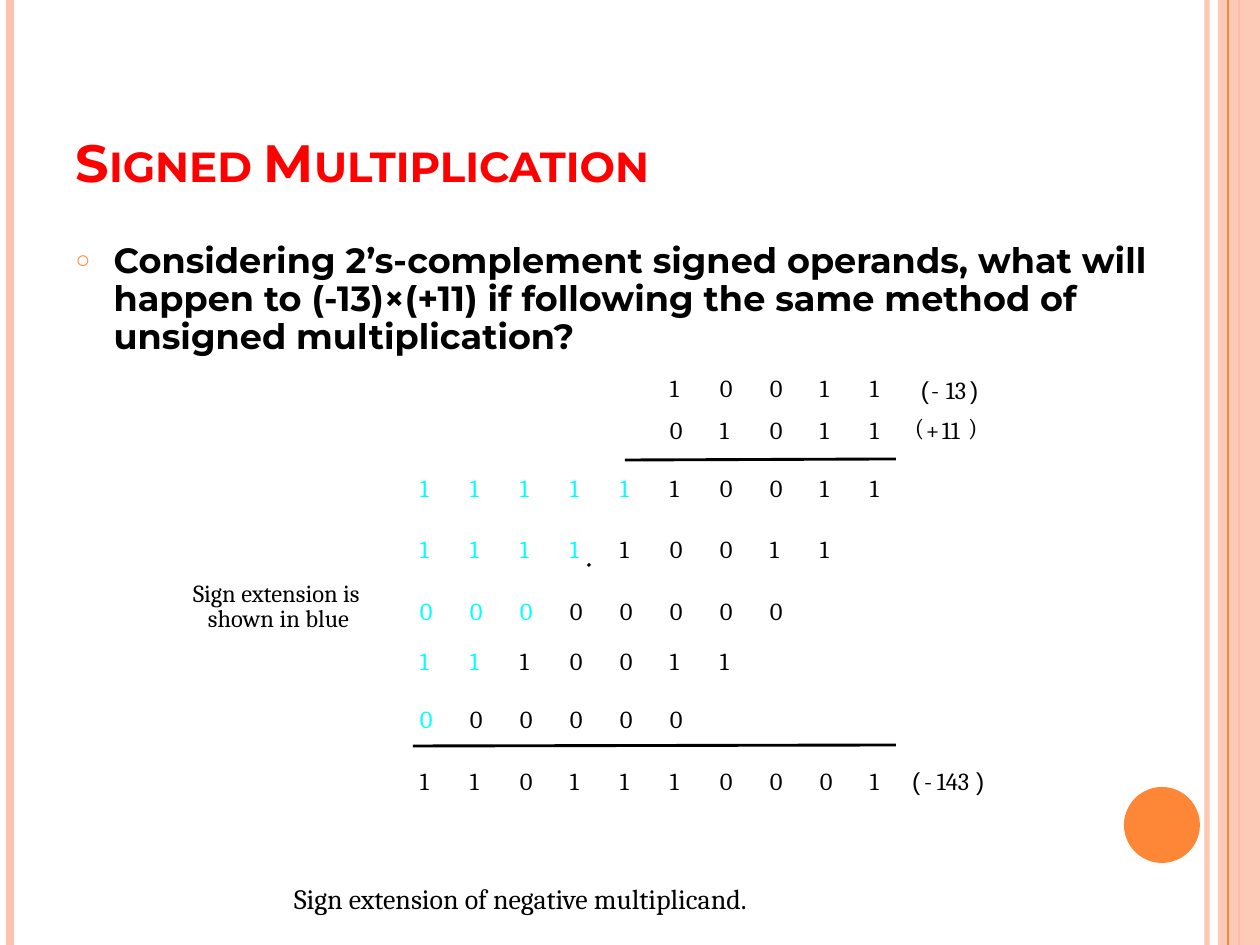
from lxml.etree import SubElement
from pptx import Presentation
from pptx.dml.color import RGBColor
from pptx.enum.shapes import MSO_CONNECTOR, MSO_SHAPE
from pptx.enum.text import MSO_ANCHOR, MSO_AUTO_SIZE, PP_ALIGN
from pptx.oxml.ns import qn
from pptx.util import Emu, Inches, Pt

COLORS = {"black": "000000", "red": "FF0000", "cyan": "00FFFF",
          "orange": "FE8637", "peach": "FEC3AE"}
PX_PER_INCH = 126
LINE_HEIGHT = 29


def px(value):
    return Emu(round(value * Inches(1) / PX_PER_INCH))


def rgb(name):
    return RGBColor.from_string(COLORS[name])


class SlideBuilder:
    heading_font = "Montserrat"
    text_font = "Cambria"
    bracket_font = "Arial"

    def __init__(self, slide):
        self.slide = slide

    def add_run(self, paragraph, text, size, font, color, bold=False):
        run = paragraph.add_run()
        run.text = text
        run.font.size = Pt(size)
        run.font.name = font
        run.font.bold = bold
        run.font.color.rgb = rgb(color)
        return run

    def set_alpha(self, element, percent):
        for color in element.iter(qn("a:srgbClr")):
            SubElement(color, qn("a:alpha"), val=str(percent * 1000))

    def line(self, x1, y1, x2, y2, color, width, alpha=100):
        connector = self.slide.shapes.add_connector(
            MSO_CONNECTOR.STRAIGHT, px(x1), px(y1), px(x2), px(y2))
        connector.line.color.rgb = rgb(color)
        connector.line.width = Pt(width)
        properties = connector._element.spPr
        SubElement(properties, qn("a:effectLst"))
        if alpha < 100:
            self.set_alpha(properties, alpha)

    def shape(self, preset, left, top, width, height, color, alpha=100):
        shape = self.slide.shapes.add_shape(
            preset, px(left), px(top), px(width), px(height))
        shape.shadow.inherit = False
        shape.fill.solid()
        shape.fill.fore_color.rgb = rgb(color)
        shape.line.fill.background()
        if alpha < 100:
            self.set_alpha(shape._element.spPr, alpha)

    def place(self, holder, left, top, width, height, anchor):
        holder.left, holder.top = px(left), px(top)
        holder.width, holder.height = px(width), px(height)
        holder.text_frame.vertical_anchor = anchor
        holder.text_frame.auto_size = MSO_AUTO_SIZE.NONE
        paragraph = holder.text_frame.paragraphs[0]
        paragraph.alignment = PP_ALIGN.LEFT
        paragraph.space_before = Pt(0)
        return paragraph

    def title(self, text, *box):
        paragraph = self.place(self.slide.shapes.title, *box, MSO_ANCHOR.BOTTOM)
        run = self.add_run(paragraph, text, 30, self.heading_font, "red", True)
        run.font._element.set("cap", "small")

    def question(self, text, *box):
        paragraph = self.place(self.slide.placeholders[1], *box, MSO_ANCHOR.TOP)
        paragraph.line_spacing = 0.9
        properties = paragraph._p.get_or_add_pPr()
        properties.set("marL", str(px(38)))
        properties.set("indent", str(px(-38)))
        bullet_color = SubElement(properties, qn("a:buClr"))
        SubElement(bullet_color, qn("a:srgbClr"), val=COLORS["orange"])
        SubElement(properties, qn("a:buSzPct"), val="70000")
        SubElement(properties, qn("a:buChar"), char="○")
        self.add_run(paragraph, text, 20, self.heading_font, "black", True)

    def label(self, text, left, top, width, size=14, font=text_font, color="black"):
        box = self.slide.shapes.add_textbox(
            px(left), px(top), px(width), px(LINE_HEIGHT * size / 14))
        frame = box.text_frame
        frame.margin_left = frame.margin_right = 0
        frame.margin_top = frame.margin_bottom = 0
        frame.word_wrap = False
        frame.auto_size = MSO_AUTO_SIZE.SHAPE_TO_FIT_TEXT
        self.add_run(frame.paragraphs[0], text, size, font, color)

    def binary_row(self, bits, first_column, top, sign_bits):
        for index, bit in enumerate(bits):
            left = 420 + 50 * (first_column + index)
            color = "cyan" if index < sign_bits else "black"
            self.label(bit, left, top, 14, color=color)


def main():
    prs = Presentation()
    prs.slide_width, prs.slide_height = px(1260), px(945)
    builder = SlideBuilder(prs.slides.add_slide(prs.slide_layouts[1]))

    # Side stripes and page disc
    builder.line(1207, 0, 1207, 945, "peach", 3, 93)
    builder.line(10, 0, 10, 945, "peach", 4.5)
    builder.line(1239, 0, 1239, 945, "orange", 1.5)
    builder.shape(MSO_SHAPE.RECTANGLE, 1218, 0, 42, 945, "peach", 87)
    builder.line(1228, 0, 1228, 945, "orange", 0.75)
    builder.shape(MSO_SHAPE.OVAL, 1124, 787, 76, 76, "orange")

    # Heading and question
    builder.title("Signed Multiplication", 63, 42, 1134, 157)
    builder.question("Considering 2’s-complement signed operands, what will happen to "
                     "(-13)×(+11) if following the same method of unsigned "
                     "multiplication?", 63, 237, 1134, 131)

    # Operands, partial products and result: bits, first column, top, sign bits
    binary_rows = [
        ("10011", 5, 373, 0),
        ("01011", 5, 415, 0),
        ("1111110011", 0, 473, 5),
        ("111110011", 0, 534, 4),
        ("00000000", 0, 596, 3),
        ("1110011", 0, 646, 2),
        ("000000", 0, 704, 1),
        ("1101110001", 0, 766, 0),
    ]
    for row in binary_rows:
        builder.binary_row(*row)

    # Rules of the sum and the small tick
    builder.line(896, 459, 625, 460, "black", 1.63)
    builder.line(896, 745, 413, 746, "black", 1.63)
    builder.line(588, 564, 590, 566, "black", 1.63)

    # Decimal values: bracket font, bracket top, text top, then (text, left, width)
    decimal_values = [
        (builder.bracket_font, 375, 375,
         [("(", 921, 8), ("-", 931, 8), ("13", 946, 28), (")", 970, 8)]),
        (builder.text_font, 412, 415,
         [("(", 915, 8), ("+", 926, 14), ("11", 942, 28), (")", 968, 8)]),
        (builder.bracket_font, 766, 766,
         [("(", 912, 8), ("-", 924, 8), ("143", 937, 40), (")", 976, 8)]),
    ]
    for bracket_font, bracket_top, text_top, pieces in decimal_values:
        for text, left, width in pieces:
            if text in "()":
                builder.label(text, left, bracket_top, width, font=bracket_font)
            else:
                builder.label(text, left, text_top, width)

    # Side note and caption
    builder.label("Sign extension is", 193, 578, 185)
    builder.label("shown in blue", 208, 603, 150)
    builder.label("Sign extension of negative multiplicand.", 294, 882, 496, size=16)

    prs.save("out.pptx")


if __name__ == "__main__":
    main()
